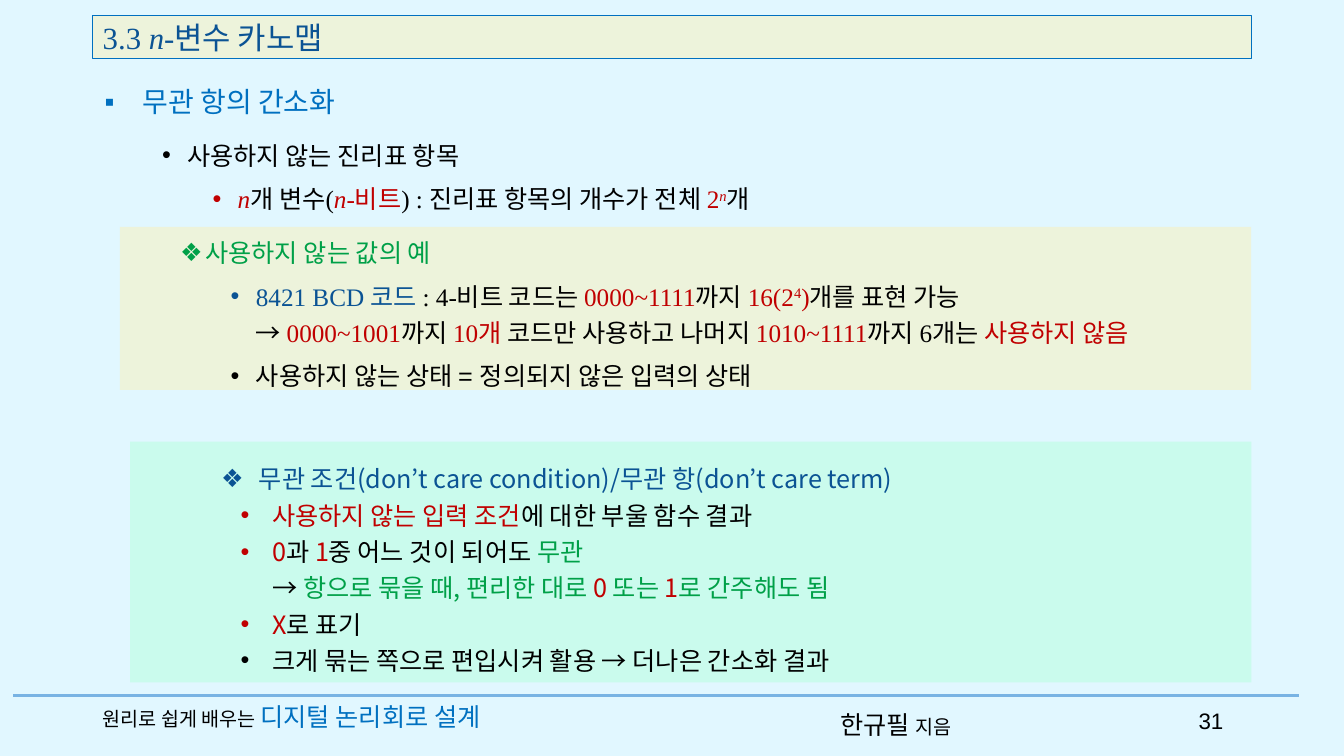
from lxml import etree
from pptx import Presentation
from pptx.dml.color import RGBColor
from pptx.enum import shapes, text
from pptx.oxml import ns
from pptx.util import Pt

KR, SERIF, ARIAL = "Noto Sans CJK KR", "Times New Roman", "Arial"
BLACK, RED, GREEN, NAVY, BLUE = "000000", "C00000", "00A048", "0B5394", "0070C0"
CREAM, MINT, SKY, RULE = "EDF3DB", "CAFBED", "E1F7FF", "78B3E3"
TOP, MID = text.MSO_ANCHOR.TOP, text.MSO_ANCHOR.MIDDLE

# Run: text, colour, then any of size, font, italic, raised
# Paragraph style: bullet, left margin, hanging indent, line spacing, space before
PLAIN = (None, 0, 0, 1, 0)
HEAD = ("▪", 27, 27, 1, 0)
ITEM = ("•", 54, 18, 1.2, 5)
DEEP = ("•", 90, 18, 1.2, 5)
MARK = ("❖", 54, 18, 1.2, 5)
TERM = ("❖", 85, 27, 1.5, 0)
FACT = ("•", 94.5, 22.5, 1.2, 0)

ITALIC, RAISED = {"italic": True}, {"raised": True}

# Box: left, top, width, height, fill, line, anchor, size, font, paragraphs
BOXES = [
    (66.3, 11, 828, 31, CREAM, BLUE, MID, 22, SERIF, [
        (PLAIN, [("3.3 ", NAVY), ("n", NAVY, ITALIC), ("-변수 카노맵", NAVY)])]),
    (67.7, 57, 828, 32, None, None, TOP, 20, KR, [
        (HEAD, [("무관 항의 간소화", BLUE)])]),
    (72.7, 92.2, 821, 63, None, None, TOP, 18, SERIF, [
        (ITEM, [("사용하지 않는 진리표 항목", BLACK)]),
        (DEEP, [("n", RED, ITALIC), ("개 변수(", BLACK), ("n", RED, ITALIC),
                ("-비트", RED), (") : 진리표 항목의 개수가 전체 ", BLACK),
                ("2", RED), ("n", RED, {**ITALIC, **RAISED}), ("개", BLACK)])]),
    (92.9, 315.4, 801, 172, MINT, None, MID, 18, KR, [
        (TERM, [("무관 조건(don’t care condition)/무관 항(don’t care term)", NAVY)]),
        (FACT, [("사용하지 않는 입력 조건", RED), ("에 대한 부울 함수 결과", BLACK)]),
        (FACT, [("0", RED), ("과 ", BLACK), ("1", RED),
                ("중 어느 것이 되어도 ", BLACK), ("무관 \n", GREEN), ("→ ", BLACK),
                ("항으로 묶을 때, 편리한 대로 ", GREEN), ("0 ", RED),
                ("또는 ", GREEN), ("1", RED), ("로 간주해도 됨", GREEN)]),
        (FACT, [("X", RED), ("로 표기", BLACK)]),
        (FACT, [("크게 묶는 쪽으로 편입시켜 활용 → 더나은 간소화 결과", BLACK)])]),
    (85.7, 162, 808, 116.6, CREAM, None, TOP, 18, SERIF, [
        (MARK, [("사용하지 않는 값의 예", GREEN)]),
        (DEEP, [("8421 BCD 코드 ", NAVY), (": 4-비트 코드는 ", BLACK),
                ("0000~1111", RED), ("까지 ", BLACK), ("16(2", RED),
                ("4", RED, RAISED), (")", RED), ("개를 표현 가능\n→ ", BLACK),
                ("0000~1001", RED), ("까지 ", BLACK), ("10개 ", RED),
                ("코드만 사용하고 나머지 ", BLACK), ("1010~1111", RED),
                ("까지 6개는 ", BLACK), ("사용하지 않음", RED)]),
        (DEEP, [("사용하지 않는 상태 = 정의되지 않은 입력의 상태", BLACK,
                 {"font": ARIAL})])]),
    (66.3, 497, 333, 29, None, None, MID, 18, SERIF, [
        (PLAIN, [("원리로 쉽게 배우는 ", BLACK, {"size": 14}),
                 ("디지털 논리회로 설계", BLUE)])]),
    (593.3, 502.6, 110, 29, None, None, MID, 18, KR, [
        (PLAIN, [("한규필 ", BLACK), ("지음", BLACK, {"size": 14})])]),
    (849, 500.4, 44.6, 29, None, None, MID, 16, ARIAL, [
        (PLAIN, [("31", BLACK)])]),
]


def color(code):
    return RGBColor.from_string(code)


def add_run(para, words, tint, size, font, italic=False, raised=False):
    for i, part in enumerate(words.split("\n")):
        if i:
            para.add_line_break()
        if not part:
            continue
        run = para.add_run()
        run.text = part
        run.font.size, run.font.name = Pt(size), font
        run.font.italic = italic
        run.font.color.rgb = color(tint)
        props = run.font._element
        etree.SubElement(props, ns.qn("a:ea"), typeface=KR)
        if raised:
            props.set("baseline", "30000")


def set_style(para, style, first):
    bullet, left, hang, space, before = style
    para.alignment = text.PP_ALIGN.LEFT
    para.line_spacing = space
    para.space_before = Pt(0 if first else before)
    if bullet:
        props = para._p.get_or_add_pPr()
        props.set("marL", str(Pt(left)))
        props.set("indent", str(-Pt(hang)))
        etree.SubElement(props, ns.qn("a:buFont"), typeface=ARIAL)
        etree.SubElement(props, ns.qn("a:buChar"), char=bullet)


def add_box(slide, left, top, width, height, fill, line, anchor, size, font, paras):
    area = Pt(left), Pt(top), Pt(width), Pt(height)
    if fill:
        box = slide.shapes.add_shape(shapes.MSO_SHAPE.RECTANGLE, *area)
        box.shadow.inherit = False
        box.fill.solid()
        box.fill.fore_color.rgb = color(fill)
        if line:
            box.line.color.rgb = color(line)
            box.line.width = Pt(0.75)
        else:
            box.line.fill.background()
    else:
        box = slide.shapes.add_textbox(*area)
    frame = box.text_frame
    frame.word_wrap = True
    frame.vertical_anchor = anchor
    for i, (style, runs) in enumerate(paras):
        para = frame.add_paragraph() if i else frame.paragraphs[0]
        set_style(para, style, i == 0)
        for words, tint, *extra in runs:
            look = {"size": size, "font": font}
            for more in extra:
                look.update(more)
            add_run(para, words, tint, **look)


def main():
    deck = Presentation()
    deck.slide_width, deck.slide_height = Pt(960), Pt(540)
    slide = deck.slides.add_slide(deck.slide_layouts[6])
    slide.background.fill.solid()
    slide.background.fill.fore_color.rgb = color(SKY)
    rule = slide.shapes.add_connector(
        shapes.MSO_CONNECTOR.STRAIGHT, Pt(9.4), Pt(496.8), Pt(928), Pt(496.8))
    rule.line.color.rgb = color(RULE)
    rule.line.width = Pt(2.5)
    etree.SubElement(rule._element.spPr, ns.qn("a:effectLst"))
    for box in BOXES:
        add_box(slide, *box)
    deck.save("out.pptx")


if __name__ == "__main__":
    main()
